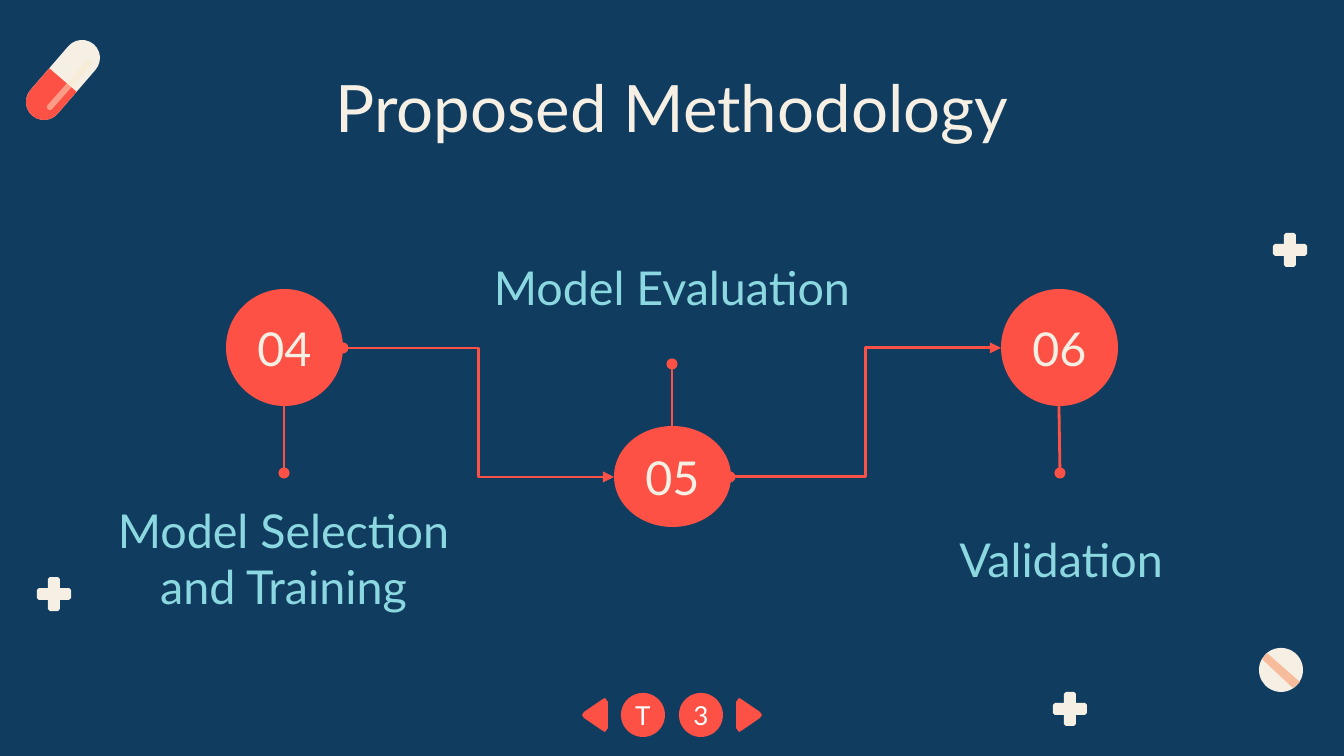
import math

import lxml.etree
import pptx
import pptx.dml.color
import pptx.enum.shapes
import pptx.enum.text
import pptx.oxml.ns
import pptx.util

SCALE = 914400 / 134.4


def px(length):
    return pptx.util.Emu(round(length * SCALE))


def rgb(value):
    return pptx.dml.color.RGBColor.from_string(value)


def add_xml(parent, tag, **attributes):
    return lxml.etree.SubElement(parent, pptx.oxml.ns.qn(tag), attributes)


def write_text(frame, text, *, size, color, font="Lato", inset=0, middle=True):
    frame.word_wrap = True
    anchors = pptx.enum.text.MSO_ANCHOR
    frame.vertical_anchor = anchors.MIDDLE if middle else anchors.TOP
    frame.margin_left = frame.margin_right = px(inset)
    frame.margin_top = frame.margin_bottom = px(inset)
    para = frame.paragraphs[0]
    para.alignment = pptx.enum.text.PP_ALIGN.CENTER
    span = para.add_run()
    span.text = text
    span.font.name = font
    span.font.size = pptx.util.Pt(size)
    span.font.color.rgb = rgb(color)


def arc(x, y, radius, start, steps=12):
    angles = [start + math.pi * step / steps for step in range(steps + 1)]
    return [(x + radius * math.cos(a), y + radius * math.sin(a)) for a in angles]


def capsule_points(x1, y1, x2, y2, radius, flat_start=False):
    heading = math.atan2(y2 - y1, x2 - x1)
    steps = 1 if flat_start else 12
    return (arc(x2, y2, radius, heading - math.pi / 2)
            + arc(x1, y1, radius, heading + math.pi / 2, steps))


def plus_points(x, y):
    arm = [(-6, -15), (-4, -17), (4, -17), (6, -15), (6, -6)]
    points = []
    for _ in range(4):
        points += [(x + dx, y + dy) for dx, dy in arm]
        arm = [(-dy, dx) for dx, dy in arm]
    return points


class MethodologySlide:
    """Holds the style and the current slide, and draws each kind of element."""

    navy, red, cream = "103C60", "FE5145", "F6EFE4"
    aqua, peach, glint, white = "8CD8E1", "F6BC9B", "FAE9CD", "FFFFFF"

    def __init__(self, deck):
        self.page = deck.slides.add_slide(deck.slide_layouts[6])
        self.page.background.fill.solid()
        self.page.background.fill.fore_color.rgb = rgb(self.navy)

    def paint(self, shape, color):
        shape.shadow.inherit = False
        shape.fill.solid()
        shape.fill.fore_color.rgb = rgb(color)
        shape.line.fill.background()
        return shape

    def outline(self, points, color):
        corners = [(px(x), px(y)) for x, y in points]
        builder = self.page.shapes.build_freeform(*corners[0])
        builder.add_line_segments(corners[1:], close=True)
        return self.paint(builder.convert_to_shape(), color)

    def circle(self, left, top, width, height, color):
        kind = pptx.enum.shapes.MSO_SHAPE.OVAL
        shape = self.page.shapes.add_shape(kind, px(left), px(top), px(width), px(height))
        return self.paint(shape, color)

    def label(self, left, top, width, height, text, **style):
        box = self.page.shapes.add_textbox(px(left), px(top), px(width), px(height))
        write_text(box.text_frame, text, inset=13, **style)

    def connector(self, start, end, elbow=False, head=None, tail=None):
        kinds = pptx.enum.shapes.MSO_CONNECTOR
        kind = kinds.ELBOW if elbow else kinds.STRAIGHT
        link = self.page.shapes.add_connector(kind, *map(px, start + end))
        link.line.width = pptx.util.Pt(1.5)
        link.line.color.rgb = rgb(self.red)
        properties = link._element.spPr
        line = properties.find(pptx.oxml.ns.qn("a:ln"))
        if head:
            add_xml(line, "a:headEnd", type=head)
        if tail:
            add_xml(line, "a:tailEnd", type=tail)
        add_xml(properties, "a:effectLst")


def draw_decorations(slide):
    for x, y in [(1290, 250), (1070, 709), (54, 594)]:
        slide.outline(plus_points(x, y), slide.cream)
    slide.circle(1259, 648, 44, 44, slide.cream)
    slide.outline([(1262, 659), (1267, 653), (1300, 682), (1293, 688)], slide.peach)
    slide.outline(capsule_points(82, 58, 44, 102, 18), slide.cream)
    slide.outline(capsule_points(63, 80, 44, 102, 18, flat_start=True), slide.red)
    highlight = slide.outline(capsule_points(89, 63, 50, 107, 3), slide.glint)
    color = highlight._element.spPr.find(".//" + pptx.oxml.ns.qn("a:srgbClr"))
    add_xml(color, "a:alpha", val="49000")


def draw_navigation(slide):
    for left, text in [(621, "T"), (679, "3")]:
        button = slide.circle(left, 693, 44, 44, slide.red)
        write_text(button.text_frame, text, size=14, color=slide.white)
    arrow = [(739, 698), (741, 699), (760, 712), (762, 715), (760, 718),
             (741, 731), (739, 732), (736, 728), (736, 702)]
    slide.outline(arrow, slide.red)
    slide.outline([(1344 - x, y) for x, y in arrow], slide.red)


def draw_steps(slide):
    slide.connector((343, 348), (614, 477), elbow=True, head="oval", tail="triangle")
    slide.connector((730, 477), (1001, 348), elbow=True, head="oval", tail="triangle")
    steps = [
        ("04", (226, 289, 117, 117), "Model Selection and Training",
         (71, 492, 425, 132), (284, 406), (284, 473)),
        ("05", (614, 426, 117, 101), "Model Evaluation",
         (443, 263, 458, 47), (672, 426), (672, 364)),
        ("06", (1001, 289, 117, 117), "Validation",
         (837, 473, 448, 172), (1059, 406), (1060, 473)),
    ]
    for number, disc, name, area, stem_start, stem_end in steps:
        slide.label(*area, name, size=25, color=slide.aqua)
        circle = slide.circle(*disc, slide.red)
        write_text(circle.text_frame, number, size=25, color=slide.cream)
        slide.connector(stem_start, stem_end, tail="oval")


def main():
    deck = pptx.Presentation()
    deck.slide_width, deck.slide_height = px(1344), px(756)
    slide = MethodologySlide(deck)
    draw_decorations(slide)
    slide.label(105, 54, 1134, 85, "Proposed Methodology",
                size=35, color=slide.cream, middle=False)
    draw_navigation(slide)
    draw_steps(slide)
    deck.save("out.pptx")


if __name__ == "__main__":
    main()
